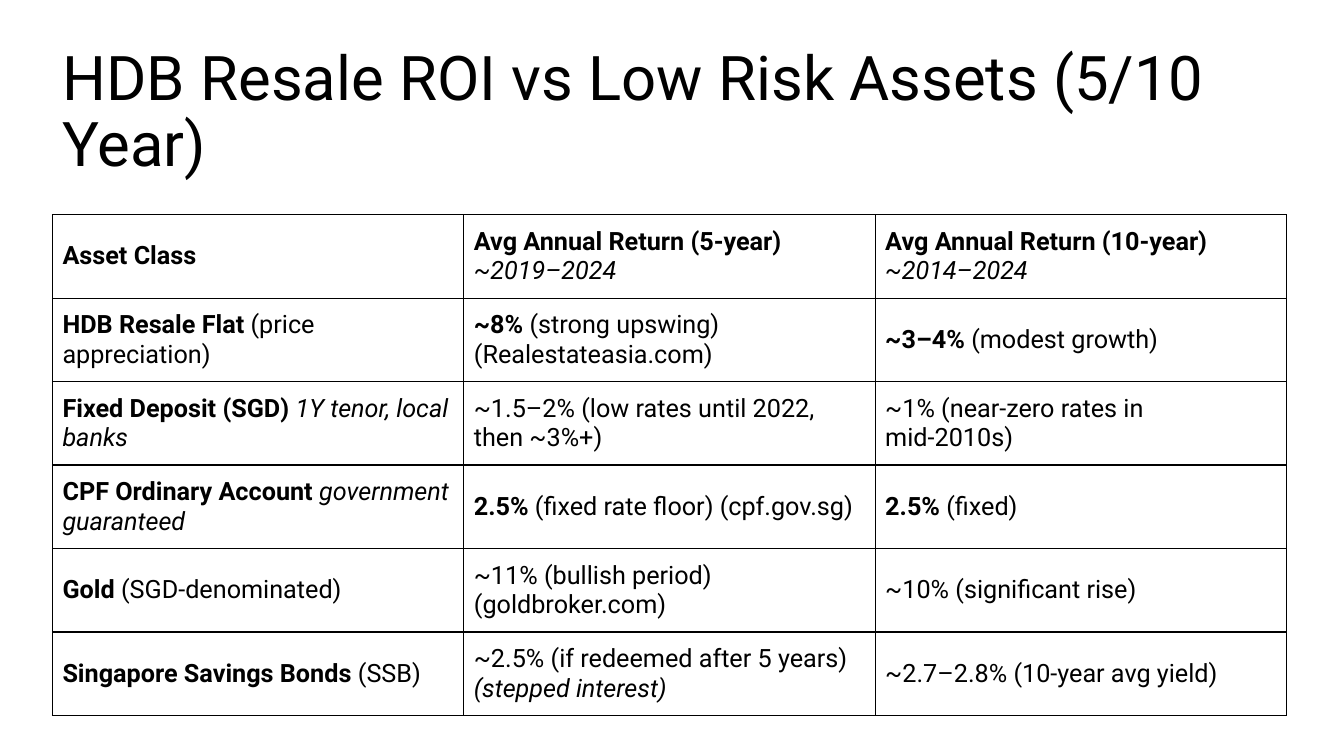
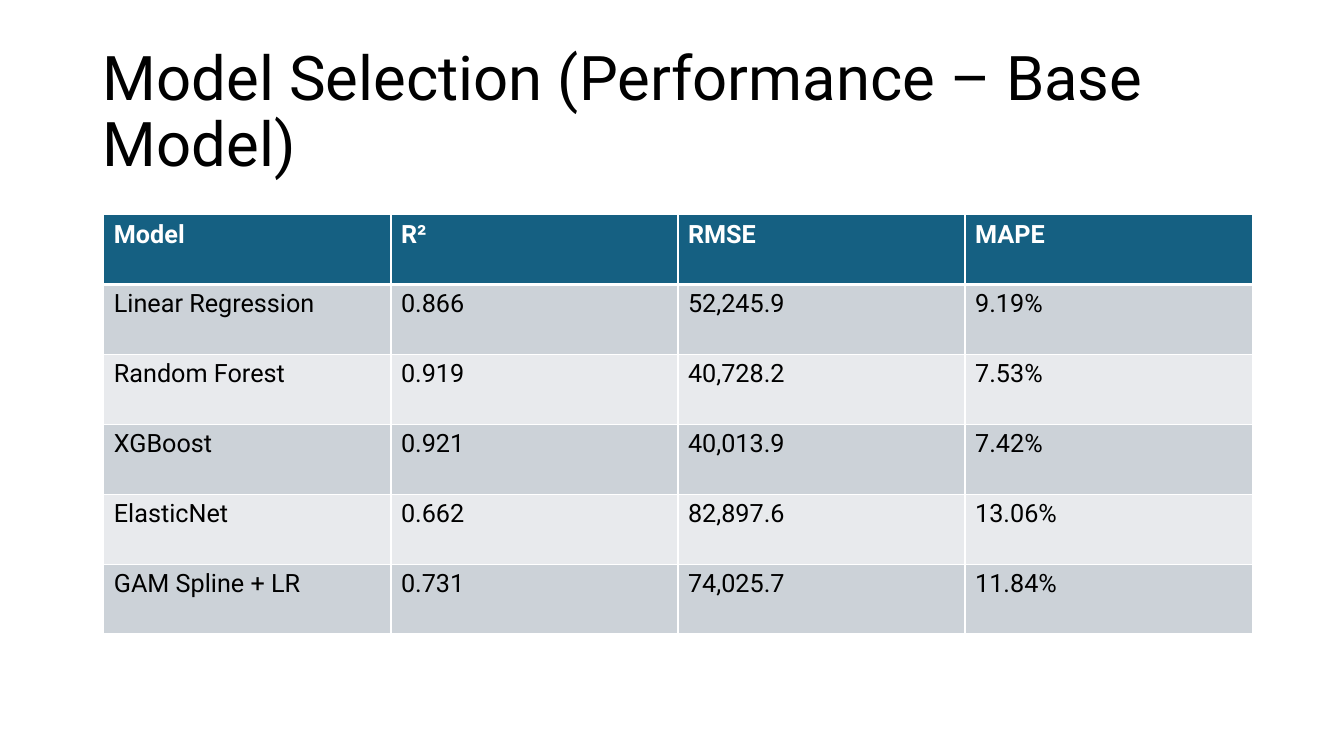
from lxml import etree
from pptx import Presentation
from pptx.dml.color import RGBColor
from pptx.enum.text import MSO_ANCHOR, MSO_AUTO_SIZE, PP_ALIGN
from pptx.oxml.ns import qn
from pptx.util import Inches, Pt

MIDDLE, TOP = MSO_ANCHOR.MIDDLE, MSO_ANCHOR.TOP
LEFT = PP_ALIGN.LEFT
NO_FIT = MSO_AUTO_SIZE.NONE

FONT = "Roboto"
BLACK = RGBColor(0x00, 0x00, 0x00)
WHITE = RGBColor(0xFF, 0xFF, 0xFF)
TEAL = RGBColor(0x15, 0x60, 0x82)
DARK = RGBColor(0xCC, 0xD2, 0xD8)
LIGHT = RGBColor(0xE8, 0xEA, 0xED)
TITLE_ONLY = 5

# Each cell is a list of (text, style) runs: "b" bold, "i" italic, "" plain
ASSETS = [
    [[("Asset Class", "b")],
     [("Avg Annual Return (5-year) ", "b"), ("~2019–2024", "i")],
     [("Avg Annual Return (10-year) ", "b"), ("~2014–2024", "i")]],
    [[("HDB Resale Flat", "b"), (" (price appreciation)", "")],
     [("~8%", "b"), (" (strong upswing) (Realestateasia.com)", "")],
     [("~3–4%", "b"), (" (modest growth)", "")]],
    [[("Fixed Deposit (SGD) ", "b"), ("1Y tenor, local banks", "i")],
     [("~1.5–2% (low rates until 2022, then ~3%+)", "")],
     [("~1% (near-zero rates in mid-2010s)", "")]],
    [[("CPF Ordinary Account ", "b"), ("government guaranteed", "i")],
     [("2.5%", "b"), (" (fixed rate floor) (cpf.gov.sg)", "")],
     [("2.5%", "b"), (" (fixed)", "")]],
    [[("Gold", "b"), (" (SGD-denominated)", "")],
     [("~11% (bullish period) (goldbroker.com)", "")],
     [("~10% (significant rise)", "")]],
    [[("Singapore Savings Bonds", "b"), (" (SSB)", "")],
     [("~2.5% (if redeemed after 5 years)", ""), "break",
      ("(stepped interest)", "i")],
     [("~2.7–2.8% (10-year avg yield)", "")]],
]

SCORES = [
    ["Model", "R²", "RMSE", "MAPE"],
    ["Linear Regression", "0.866", "52,245.9", "9.19%"],
    ["Random Forest", "0.919", "40,728.2", "7.53%"],
    ["XGBoost", "0.921", "40,013.9", "7.42%"],
    ["ElasticNet", "0.662", "82,897.6", "13.06%"],
    ["GAM Spline + LR", "0.731", "74,025.7", "11.84%"],
]


def add_title(deck, text, left, width):
    """Add a slide with its title in place, and return the slide."""
    slide = deck.slides.add_slide(deck.slide_layouts[TITLE_ONLY])
    title = slide.shapes.title
    title.left, title.top = Inches(left), Inches(0.4)
    title.width, title.height = Inches(width), Inches(1.45)
    frame = title.text_frame
    frame.text = text
    frame.auto_size = NO_FIT
    frame.vertical_anchor = MIDDLE
    para = frame.paragraphs[0]
    para.alignment = LEFT
    para.line_spacing = 0.9
    set_font(para.runs[0].font, 44, BLACK)
    return slide


def set_font(font, size, color, style=""):
    font.name, font.size = FONT, Pt(size)
    font.color.rgb = color
    font.bold = style == "b"
    font.italic = style == "i"


def add_grid(slide, box, rows, cols):
    """Add a table with equal rows and columns inside the box."""
    left, top, width, height = (Inches(n) for n in box)
    table = slide.shapes.add_table(rows, cols, left, top, width, height).table
    table.horz_banding = False
    return table


def set_edges(cell, color, top=1, bottom=1):
    """Draw the four borders; must run before the cell is filled."""
    props = cell._tc.get_or_add_tcPr()
    for tag, size in (("lnL", 1), ("lnR", 1), ("lnT", top), ("lnB", bottom)):
        line = etree.SubElement(props, qn("a:" + tag), w=str(Pt(size)))
        fill = etree.SubElement(line, qn("a:solidFill"))
        etree.SubElement(fill, qn("a:srgbClr"), val=str(color))


def fill_cell(cell, runs, color, anchor):
    cell.vertical_anchor = anchor
    para = cell.text_frame.paragraphs[0]
    for part in runs:
        if part == "break":
            para.add_line_break()
            continue
        run = para.add_run()
        run.text, style = part
        set_font(run.font, 18, color, style)


def asset_table(slide, box):
    """Plain table with a black grid and mixed text styles."""
    table = add_grid(slide, box, len(ASSETS), len(ASSETS[0]))
    for r, row in enumerate(ASSETS):
        for c, runs in enumerate(row):
            cell = table.cell(r, c)
            set_edges(cell, BLACK)
            cell.fill.background()
            fill_cell(cell, runs, BLACK, MIDDLE)


def score_table(slide, box):
    """Banded table with a teal header row."""
    table = add_grid(slide, box, len(SCORES), len(SCORES[0]))
    for r, row in enumerate(SCORES):
        head = r == 0
        band = TEAL if head else DARK if r % 2 else LIGHT
        ink, style = (WHITE, "b") if head else (BLACK, "")
        for c, text in enumerate(row):
            cell = table.cell(r, c)
            # The rule under the header is thicker
            set_edges(cell, WHITE, 3 if r == 1 else 1, 3 if head else 1)
            cell.fill.solid()
            cell.fill.fore_color.rgb = band
            fill_cell(cell, [(text, style)], ink, TOP)


def main():
    deck = Presentation()
    deck.slide_width, deck.slide_height = Inches(13.33), Inches(7.5)

    # Returns by asset class
    slide = add_title(deck, "HDB Resale ROI vs Low Risk Assets (5/10 Year)",
                      0.52, 12.24)
    asset_table(slide, (0.52, 2.13, 12.24, 4.97))

    # Scores by model
    slide = add_title(deck, "Model Selection (Performance – Base Model)",
                      0.92, 11.5)
    score_table(slide, (1.03, 2.13, 11.39, 4.16))

    deck.save("out.pptx")


if __name__ == "__main__":
    main()
